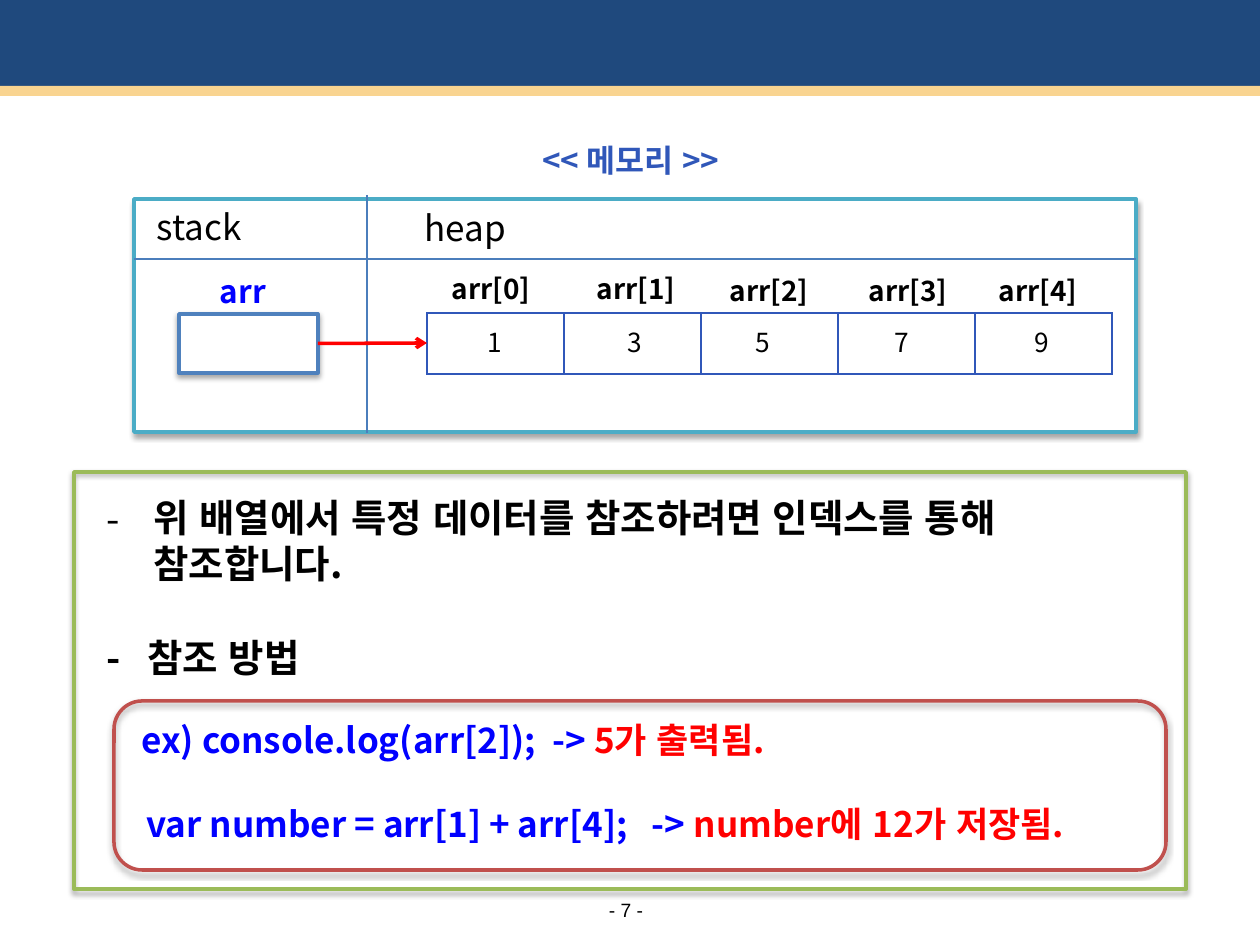
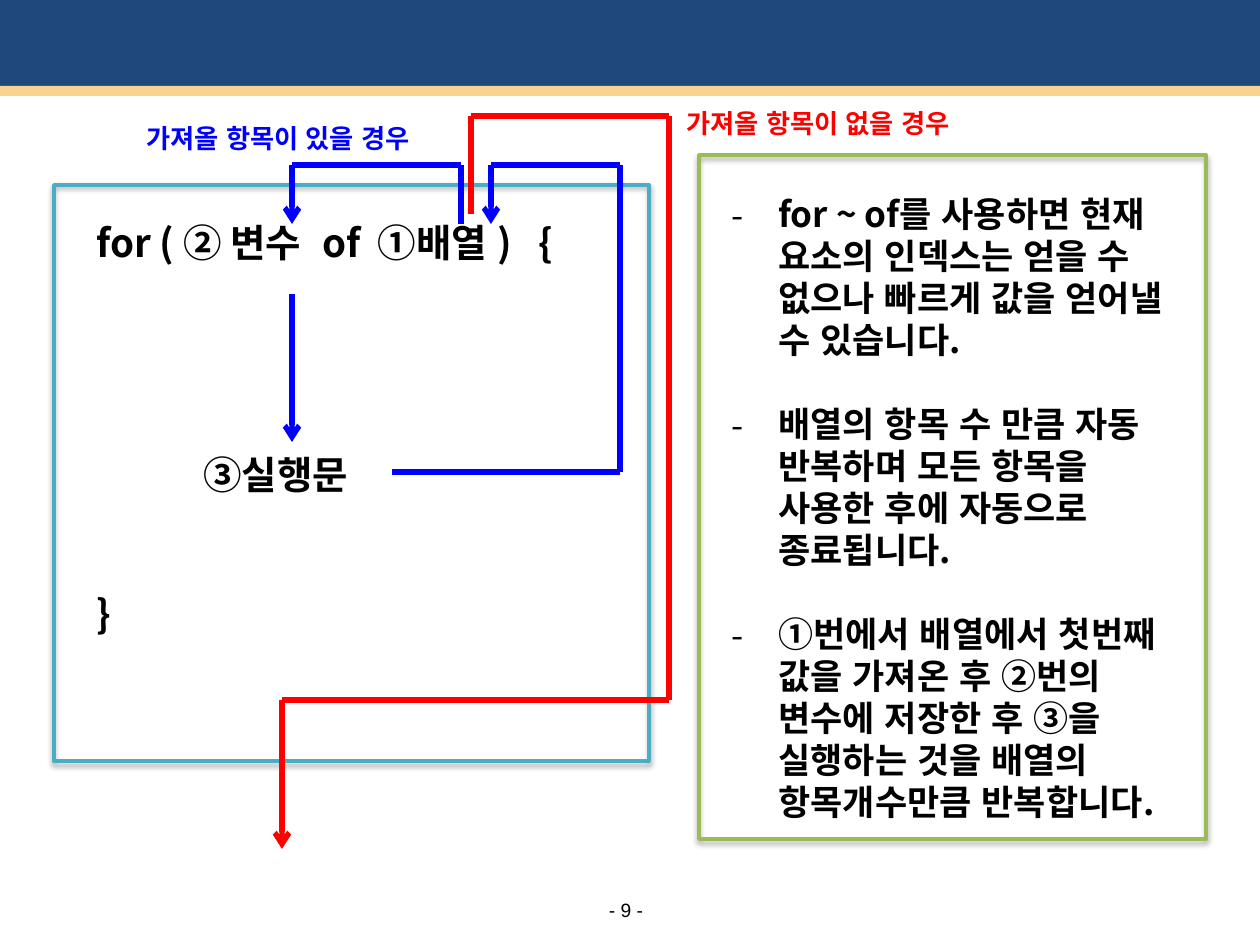
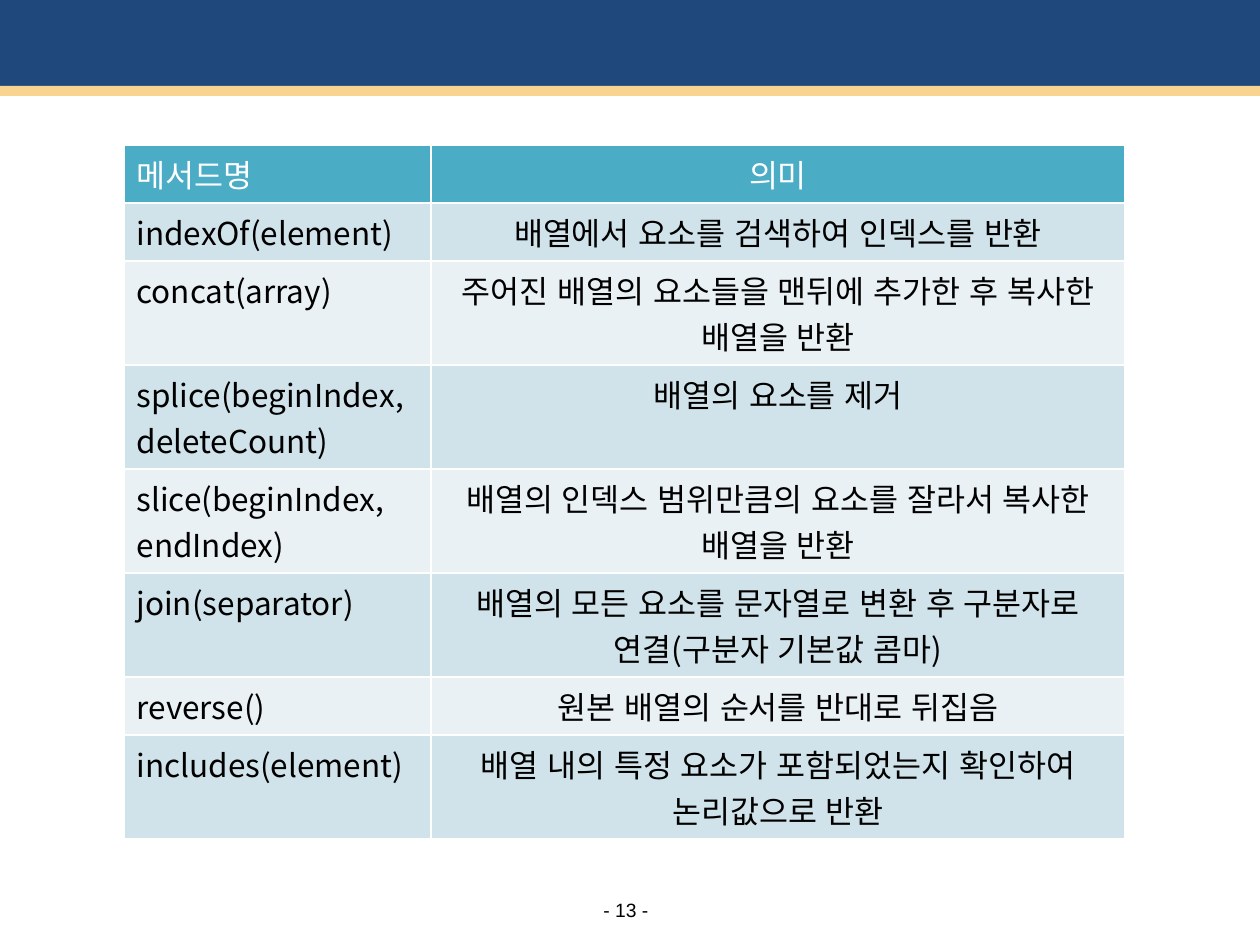
"""Build three lecture slides about arrays and their loops and methods."""
import itertools

import pptx
import pptx.dml.color
import pptx.enum.shapes
import pptx.enum.text
import pptx.oxml
import pptx.oxml.ns
import pptx.util

SHAPE = pptx.enum.shapes.MSO_SHAPE
LEFT = pptx.enum.text.PP_ALIGN.LEFT
CENTER = pptx.enum.text.PP_ALIGN.CENTER
MIDDLE = pptx.enum.text.MSO_ANCHOR.MIDDLE
EMU_PER_PX = 914400 / 126
BODY_FONT, FOOTER_FONT = "Noto Sans CJK KR", "Arial"
NAVY, SAND = "1F497D", "F9D490"
BLACK, WHITE, BLUE, RED = "000000", "FFFFFF", "0000FF", "FF0000"
TEAL, GREEN, BRICK, STEEL, RULE, INDIGO = "4BACC6", "9BBB59", "C0504D", "4F81BD", "4B7EBC", "3057B9"
STRIPES = "E9F1F5", "D0E3EA"


def px(length):
    """Turn px into EMU."""
    return round(length * EMU_PER_PX)


def color(code):
    """Turn a hex string into a colour."""
    return pptx.dml.color.RGBColor.from_string(code)


def add_xml(parent, markup):
    """Append one DrawingML element, given without its namespace, to a parent."""
    head, tail = markup.split(" ", 1)
    parent.append(pptx.oxml.parse_xml(f"{head} {pptx.oxml.ns.nsdecls('a')} {tail}"))


class Deck:
    """Hold the shared style and the current slide."""

    def __init__(self):
        """Start an empty 4:3 presentation."""
        self.presentation = pptx.Presentation()
        self.presentation.slide_width = px(1260)
        self.presentation.slide_height = px(945)
        self.slide = None

    def start(self, number):
        """Add a slide with its bands and page number."""
        self.slide = self.presentation.slides.add_slide(self.presentation.slide_layouts[6])
        self.shape(SHAPE.RECTANGLE, 0, 0, 1260, 90, fill=NAVY)
        self.shape(SHAPE.RECTANGLE, 0, 86, 1260, 10, fill=SAND)
        footer = self.box(599, 898, 54, 24)
        footer.word_wrap = False
        footer.vertical_anchor = MIDDLE
        footer.margin_left = footer.margin_right = footer.margin_top = footer.margin_bottom = 0
        self.paragraph(footer, [(f"- {number} -", BLACK)], 11, align=CENTER, latin=FOOTER_FONT)

    def shape(self, kind, x, y, w, h, fill=None, line=None):
        """Add a preset shape; an outlined one casts a soft shadow."""
        shape = self.slide.shapes.add_shape(kind, px(x), px(y), px(w), px(h))
        shape.shadow.inherit = False
        if fill:
            shape.fill.solid()
            shape.fill.fore_color.rgb = color(fill)
        else:
            shape.fill.background()
        if line:
            shape.line.color.rgb = color(line)
            shape.line.width = pptx.util.Pt(2)
            effects = shape._element.spPr.find(pptx.oxml.ns.qn("a:effectLst"))
            add_xml(effects, '<a:outerShdw blurRad="39370" dist="22860" dir="5400000" rotWithShape="0">'
                             '<a:srgbClr val="000000"><a:alpha val="35000"/></a:srgbClr></a:outerShdw>')
        else:
            shape.line.fill.background()
        return shape

    def box(self, x, y, w, h):
        """Add an empty wrapping text box and return its frame."""
        frame = self.slide.shapes.add_textbox(px(x), px(y), px(w), px(h)).text_frame
        frame.word_wrap = True
        return frame

    def paragraph(self, frame, runs, size, bold=False, align=LEFT, before=0,
                  margin=0, hanging=0, bullet=None, latin=BODY_FONT):
        """Fill the frame's empty first paragraph or add one, run by run."""
        used = frame.paragraphs[0].runs
        paragraph = frame.add_paragraph() if used else frame.paragraphs[0]
        properties = paragraph._p.get_or_add_pPr()
        if margin:
            properties.set("marL", str(px(margin)))
            properties.set("indent", str(-px(hanging)))
        if bullet:
            add_xml(properties, f'<a:buFont typeface="{BODY_FONT}"/>')
            add_xml(properties, f'<a:buChar char="{bullet}"/>')
        paragraph.alignment = align
        if before:
            paragraph.space_before = pptx.util.Pt(before)
        for words, tint in runs:
            run = paragraph.add_run()
            run.text = words
            run.font.size = pptx.util.Pt(size)
            run.font.bold = bold
            run.font.color.rgb = color(tint)
            run.font.name = latin
            character = run._r.get_or_add_rPr()
            character.set("lang", "ko-KR")
            character.set("kern", "0")
            add_xml(character, f'<a:ea typeface="{BODY_FONT}"/>')

    def label(self, x, y, w, h, words, size, tint=BLACK, bold=True, align=CENTER):
        """Add a one-line text box."""
        self.paragraph(self.box(x, y, w, h), [(words, tint)], size, bold, align)

    def route(self, points, tint, width, arrow=False, source=None):
        """Join points by straight connectors, with an arrowhead on the last."""
        for start, end in itertools.pairwise(points):
            leg = self.slide.shapes.add_connector(
                pptx.enum.shapes.MSO_CONNECTOR.STRAIGHT, *map(px, start + end))
            leg.line.color.rgb = color(tint)
            leg.line.width = pptx.util.Pt(width)
            add_xml(leg._element.spPr, "<a:effectLst />")
            if source:
                leg.begin_connect(source, 3)
        if arrow:
            add_xml(leg.line._get_or_add_ln(), '<a:tailEnd type="arrow"/>')

    def table(self, x, y, widths, heights):
        """Add a table with no built-in banding."""
        frame = self.slide.shapes.add_table(
            len(heights), len(widths), px(x), px(y), px(sum(widths)), px(sum(heights)))
        table = frame.table
        table.first_row = table.horz_banding = False
        for column, width in zip(table.columns, widths):
            column.width = px(width)
        for row, height in zip(table.rows, heights):
            row.height = px(height)
        return table

    def cell(self, cell, border, fill=None):
        """Set the borders and fill of one cell."""
        properties = cell._tc.get_or_add_tcPr()
        for side in "LRTB":
            add_xml(properties, f'<a:ln{side} w="{pptx.util.Pt(1)}"><a:solidFill>'
                                f'<a:srgbClr val="{border}"/></a:solidFill></a:ln{side}>')
        if fill:
            cell.fill.solid()
            cell.fill.fore_color.rgb = color(fill)
        else:
            cell.fill.background()


def memory_slide(deck):
    """Show how the stack refers to an array in the heap."""
    deck.start(7)
    deck.shape(SHAPE.RECTANGLE, 134, 199, 1002, 233, WHITE, TEAL)
    deck.route([(134, 259), (1136, 259)], RULE, 1)
    deck.label(144, 199, 198, 54, "stack", 20, bold=False, align=LEFT)
    deck.label(412, 200, 198, 54, "heap", 20, bold=False, align=LEFT)
    reference = deck.shape(SHAPE.RECTANGLE, 179, 314, 139, 59, WHITE, STEEL)
    deck.label(191, 266, 104, 50, "arr", 18, BLUE)
    deck.label(348, 135, 566, 49, "<< 메모리 >>", 18, INDIGO)
    elements = deck.table(427, 313, [137] * 5, [61])
    for cell in elements.iter_cells():
        deck.cell(cell, INDIGO)
    for value, left in zip((1, 3, 5, 7, 9), (436, 576, 704, 843, 983)):
        deck.label(left, 320, 118, 43, str(value), 15, bold=False)
    for index, (left, top) in enumerate([(436, 265), (581, 265), (714, 267), (853, 267), (983, 267)]):
        deck.label(left, top, 110, 47, f"arr[{index}]", 16)
    deck.route([(367, 195), (367, 433)], RULE, 0.75)
    deck.route([(318, 343), (427, 343)], RED, 2, arrow=True, source=reference)

    notes = deck.box(94, 488, 1071, 410)
    deck.paragraph(notes, [("위 배열에서 특정 데이터를 참조하려면 인덱스를 통해 참조합니다.", BLACK)], 22, True,
                   margin=47, hanging=47, bullet="-")
    deck.paragraph(notes, [("-\t참조 방법", BLACK)], 22, True, before=27, margin=41, hanging=41)
    deck.paragraph(notes, [("ex) console.log(arr[2]);  -> ", BLUE), ("5가 출력됨.", RED)], 20, True,
                   before=22, margin=35)
    deck.paragraph(notes, [("var number = arr[1] + arr[4];   -> ", BLUE), ("number에 12가 저장됨.", RED)],
                   20, True, before=24, margin=40)
    deck.shape(SHAPE.FLOWCHART_PROCESS, 74, 472, 1112, 417, line=GREEN)
    deck.shape(SHAPE.ROUNDED_RECTANGLE, 114, 701, 1052, 169, line=BRICK)


def loop_slide(deck):
    """Trace the flow of a for-of loop."""
    deck.start(9)
    rules = deck.box(719, 186, 476, 692)
    for index, rule in enumerate((
            "for ~ of를 사용하면 현재 요소의 인덱스는 얻을 수 없으나 빠르게 값을 얻어낼 수 있습니다.",
            "배열의 항목 수 만큼 자동 반복하며 모든 항목을 사용한 후에 자동으로 종료됩니다.",
            "①번에서 배열에서 첫번째 값을 가져온 후 ②번의 변수에 저장한 후 ③을 실행하는 것을 "
            "배열의 항목개수만큼 반복합니다.")):
        deck.paragraph(rules, [(rule, BLACK)], 20, True, before=24 if index else 0,
                       margin=47, hanging=47, bullet="-")
    deck.shape(SHAPE.FLOWCHART_PROCESS, 699, 155, 507, 684, line=GREEN)

    loop = deck.box(84, 213, 576, 432)
    deck.paragraph(loop, [("for ( ② 변수  of  ①배열 )   {", BLACK)], 22, True)
    deck.paragraph(loop, [("③실행문", BLACK)], 22, True, before=106, margin=107)
    deck.paragraph(loop, [("}", BLACK)], 22, True, before=53)
    deck.shape(SHAPE.RECTANGLE, 54, 185, 595, 576, line=TEAL)

    deck.route([(292, 294), (292, 442)], BLUE, 3, arrow=True)
    deck.route([(392, 472), (620, 472), (620, 165), (491, 165), (491, 224)], BLUE, 3, arrow=True)
    deck.route([(461, 224), (461, 165), (292, 165), (292, 224)], BLUE, 3, arrow=True)
    deck.route([(471, 214), (471, 116), (669, 116), (669, 700), (282, 700), (282, 849)],
               RED, 3, arrow=True)
    deck.label(134, 116, 328, 44, "가져올 항목이 있을 경우", 15, BLUE, align=LEFT)
    deck.label(674, 101, 354, 43, "가져올 항목이 없을 경우", 15, RED, align=LEFT)


def methods_slide(deck):
    """List further array methods."""
    deck.start(13)
    entries = (
        ("메서드명", "의미"),
        ("indexOf(element)", "배열에서 요소를 검색하여 인덱스를 반환"),
        ("concat(array)", "주어진 배열의 요소들을 맨뒤에 추가한 후 복사한 배열을 반환"),
        ("splice(beginIndex, deleteCount)", "배열의 요소를 제거"),
        ("slice(beginIndex, endIndex)", "배열의 인덱스 범위만큼의 요소를 잘라서 복사한 배열을 반환"),
        ("join(separator)", "배열의 모든 요소를 문자열로 변환 후 구분자로 연결(구분자 기본값 콤마)"),
        ("reverse()", "원본 배열의 순서를 반대로 뒤집음"),
        ("includes(element)", "배열 내의 특정 요소가 포함되었는지 확인하여 논리값으로 반환"),
    )
    one_line, two_lines = 58, 104
    heights = [one_line] * 2 + [two_lines] * 4 + [one_line, two_lines]
    methods = deck.table(124, 145, [307, 694], heights)
    for row, entry in enumerate(entries):
        fill, tint = (STRIPES[row % 2], BLACK) if row else (TEAL, WHITE)
        for column, words in enumerate(entry):
            cell = methods.cell(row, column)
            deck.cell(cell, WHITE, fill)
            deck.paragraph(cell.text_frame, [(words, tint)], 18, align=CENTER if column else LEFT)


def main():
    """Build and save the slides."""
    deck = Deck()
    memory_slide(deck)
    loop_slide(deck)
    methods_slide(deck)
    deck.presentation.save("out.pptx")


if __name__ == "__main__":
    main()
